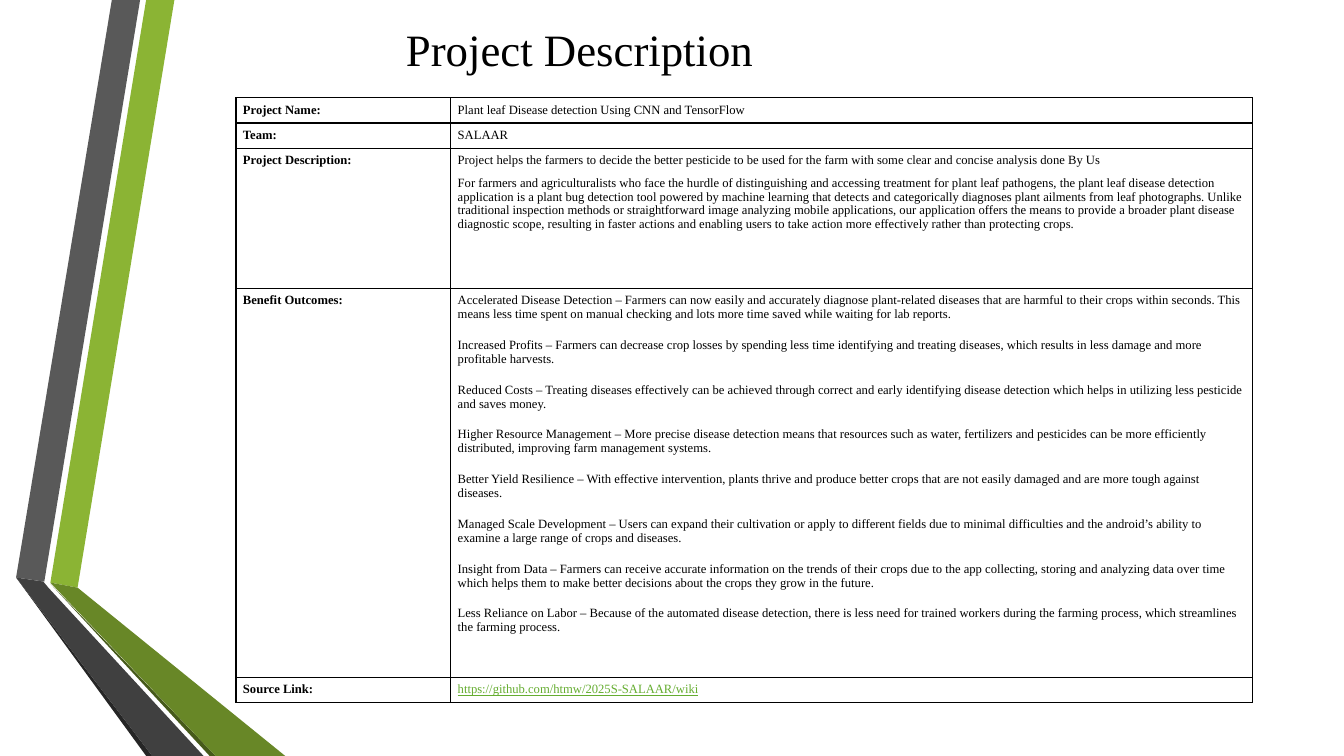
from lxml import etree
from pptx import Presentation
from pptx.dml.color import RGBColor
from pptx.enum.text import MSO_ANCHOR as Anchor, PP_ALIGN as Align
from pptx.oxml.ns import qn
from pptx.util import Inches, Pt

BLACK = RGBColor(0x00, 0x00, 0x00)
LIME = RGBColor(0x8B, 0xB4, 0x34)
GRAY = RGBColor(0x59, 0x59, 0x59)
INK = RGBColor(0x26, 0x26, 0x26)
MOSS = RGBColor(0x46, 0x5A, 0x1A)
GREEN = RGBColor(0x68, 0x87, 0x27)
COAL = RGBColor(0x40, 0x40, 0x40)
LINK = RGBColor(0x65, 0xAD, 0x30)
FONT = "Times New Roman"

RIBBONS = [
    (LIME, [(0.5, 5.78), (0.77, 5.83), (1.73, 0), (1.45, 0)]),
    (GRAY, [(1.39, 0), (1.11, 0), (0.16, 5.73), (0.44, 5.77)]),
    (INK, [(0.16, 5.73), (1.45, 7.5), (1.51, 7.5)]),
    (MOSS, [(0.5, 5.79), (2.08, 7.5), (2.14, 7.5)]),
    (GREEN, [(0.5, 5.78), (2.14, 7.5), (2.83, 7.5), (0.77, 5.83)]),
    (COAL, [(2.02, 7.5), (0.48, 5.83), (0.43, 5.77), (0.16, 5.73), (1.51, 7.5)]),
]

ABOUT = [
    "Project helps the farmers to decide the better pesticide to be used for the farm with some clear and concise analysis done By Us",
    "For farmers and agriculturalists who face the hurdle of distinguishing and accessing treatment for plant leaf pathogens, "
    "the plant leaf disease detection application is a plant bug detection tool powered by machine learning that detects and "
    "categorically diagnoses plant ailments from leaf photographs. Unlike traditional inspection methods or straightforward "
    "image analyzing mobile applications, our application offers the means to provide a broader plant disease diagnostic scope, "
    "resulting in faster actions and enabling users to take action more effectively rather than protecting crops.",
]

GAINS = [
    "Accelerated Disease Detection – Farmers can now easily and accurately diagnose plant-related diseases that are harmful to "
    "their crops within seconds. This means less time spent on manual checking and lots more time saved while waiting for lab reports.",
    "Increased Profits – Farmers can decrease crop losses by spending less time identifying and treating diseases, which results "
    "in less damage and more profitable harvests.",
    "Reduced Costs – Treating diseases effectively can be achieved through correct and early identifying disease detection which "
    "helps in utilizing less pesticide and saves money.",
    "Higher Resource Management – More precise disease detection means that resources such as water, fertilizers and pesticides "
    "can be more efficiently distributed, improving farm management systems.",
    "Better Yield Resilience – With effective intervention, plants thrive and produce better crops that are not easily damaged "
    "and are more tough against diseases.",
    "Managed Scale Development – Users can expand their cultivation or apply to different fields due to minimal difficulties and "
    "the android’s ability to examine a large range of crops and diseases.",
    "Insight from Data – Farmers can receive accurate information on the trends of their crops due to the app collecting, storing "
    "and analyzing data over time which helps them to make better decisions about the crops they grow in the future.",
    "Less Reliance on Labor – Because of the automated disease detection, there is less need for trained workers during the "
    "farming process, which streamlines the farming process.",
]

ROWS = [
    (0.24, "Project Name:", ["Plant leaf Disease detection Using CNN and TensorFlow"], {}),
    (0.24, "Team:", ["SALAAR"], {}),
    (1.39, "Project Description:", ABOUT, {"gap": 6}),
    (3.86, "Benefit Outcomes:", GAINS, {"gap": 12}),
    (0.24, "Source Link:", ["https://github.com/htmw/2025S-SALAAR/wiki"],
     {"color": LINK, "line": True}),
]


def write(frame, texts, size=9, color=BLACK, bold=False, line=False, gap=0, align=Align.LEFT):
    for i, text in enumerate(texts):
        para = frame.add_paragraph() if i else frame.paragraphs[0]
        para.alignment = align
        para.space_before = Pt(gap if i else 0)
        run = para.add_run()
        run.text = text
        font = run.font
        font.name, font.size, font.bold = FONT, Pt(size), bold
        font.underline = line
        font.color.rgb = color


def ribbon(slide, color, points):
    first, *rest = [(Inches(x), Inches(y)) for x, y in points]
    pen = slide.shapes.build_freeform(*first)
    pen.add_line_segments(rest, close=True)
    shape = pen.convert_to_shape()
    shape.shadow.inherit = False
    shape.fill.solid()
    shape.fill.fore_color.rgb = color
    shape.line.fill.background()


def title(slide, text):
    box = slide.shapes.add_textbox(0, 0, Inches(11.5), Inches(0.97))
    frame = box.text_frame
    frame.word_wrap = True
    frame.vertical_anchor = Anchor.MIDDLE
    write(frame, [text], size=32, align=Align.CENTER)


def border(cell):
    props = cell._tc.get_or_add_tcPr()
    for i, side in enumerate(("a:lnL", "a:lnR", "a:lnT", "a:lnB")):
        edge = etree.Element(qn(side), w=str(Pt(1)))
        fill = etree.SubElement(edge, qn("a:solidFill"))
        etree.SubElement(fill, qn("a:srgbClr"), val=str(BLACK))
        props.insert(i, edge)


def fill_cell(cell, texts, **style):
    cell.margin_left = cell.margin_right = Inches(0.07)
    cell.margin_top = cell.margin_bottom = Inches(0.05)
    cell.fill.background()
    border(cell)
    write(cell.text_frame, texts, **style)


def grid(slide):
    high = sum(row[0] for row in ROWS)
    frame = slide.shapes.add_table(len(ROWS), 2, Inches(2.34), Inches(0.97), Inches(10.08), Inches(high))
    table = frame.table
    table.first_row = table.horz_banding = False
    for col, wide in zip(table.columns, (2.13, 7.95)):
        col.width = Inches(wide)
    for i, (tall, label, texts, style) in enumerate(ROWS):
        table.rows[i].height = Inches(tall)
        fill_cell(table.cell(i, 0), [label], bold=True)
        fill_cell(table.cell(i, 1), texts, **style)


def main():
    deck = Presentation()
    deck.slide_width, deck.slide_height = Inches(13.33), Inches(7.5)
    slide = deck.slides.add_slide(deck.slide_layouts[6])
    for color, points in RIBBONS:
        ribbon(slide, color, points)
    title(slide, "Project Description")
    grid(slide)
    deck.save("out.pptx")


if __name__ == "__main__":
    main()
